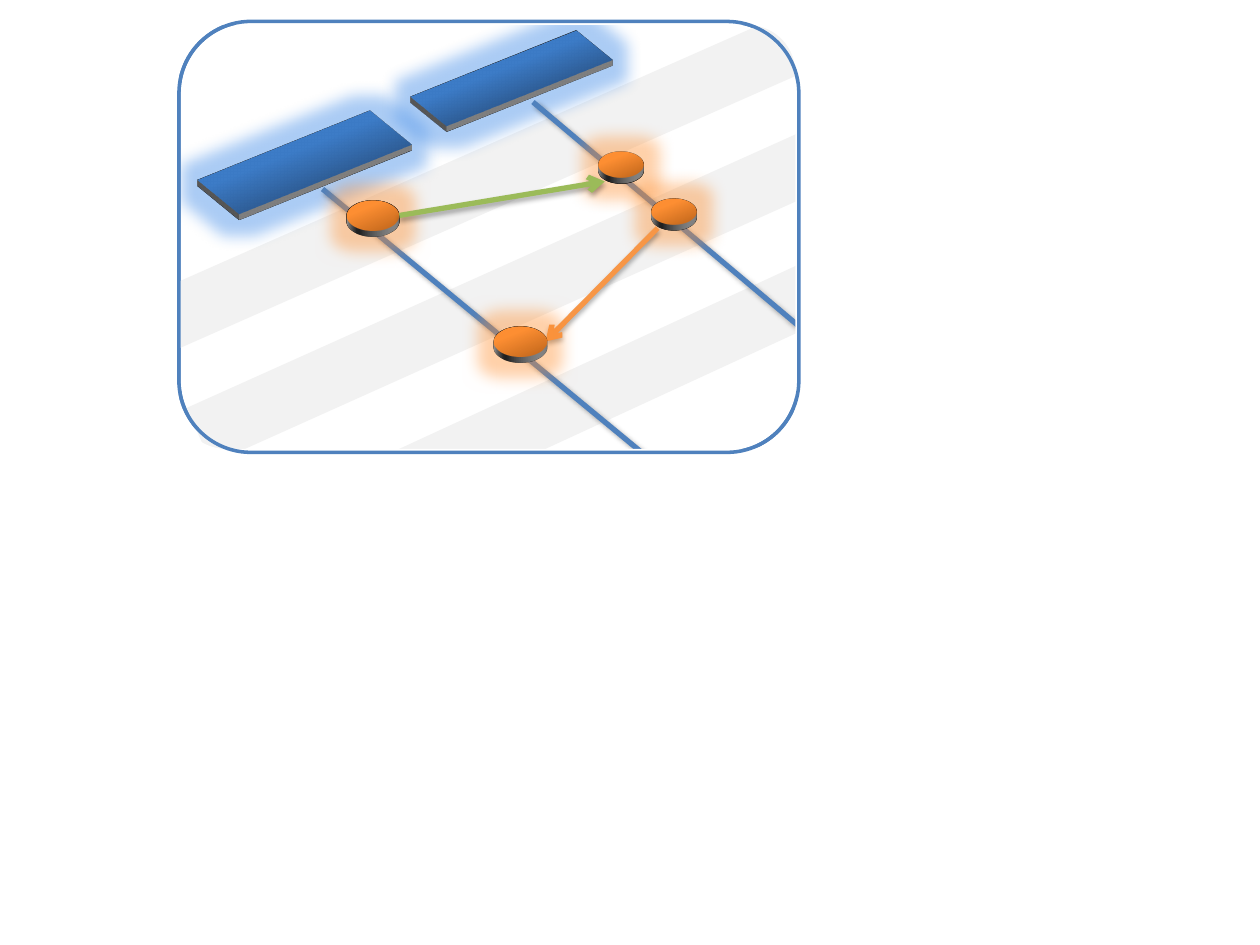
from pptx import Presentation
from pptx.util import Inches, Pt
from pptx.dml.color import RGBColor
from pptx.enum.shapes import MSO_SHAPE, MSO_CONNECTOR
from lxml.etree import SubElement
from pptx.oxml import parse_xml
from pptx.oxml.ns import qn, nsdecls

C = {"white": "FFFFFF", "stripe": "F2F2F2", "blue": "4F81BD", "green": "9BBB59",
     "orange": "F79646"}
PLATE = (MSO_SHAPE.RECTANGLE, "2F5F99", "3D7CC7", "2E80E6")
DISC = (MSO_SHAPE.OVAL, "CC6E20", "FF9034", "FF8C2A")

EFFECTS = """<a:effectLst {ns}>{glow}
  <a:outerShdw blurRad="{blur}" dist="{dist}" dir="{angle}" rotWithShape="0">
    <a:srgbClr val="000000"><a:alpha val="{alpha}"/></a:srgbClr></a:outerShdw></a:effectLst>"""
GLOW = '<a:glow rad="{rad}"><a:srgbClr val="{color}"><a:alpha val="40000"/></a:srgbClr></a:glow>'
SCENE = """<a:scene3d {ns}>
  <a:camera prst="isometricTopUp"><a:rot lat="{lat}" lon="{lon}" rev="{rev}"/></a:camera>
  <a:lightRig rig="threePt" dir="t"/></a:scene3d>"""
SOLID = """<a:sp3d {ns} extrusionH="{depth}">
  <a:extrusionClr><a:srgbClr val="FFFFFF"/></a:extrusionClr></a:sp3d>"""
NS = nsdecls("a")

prs = Presentation()
prs.slide_width, prs.slide_height = Inches(10), Inches(7.5)
s = prs.slides.add_slide(prs.slide_layouts[6]).shapes.add_group_shape().shapes


def line(start, end, color, width, shadow=None, arrow=False):
    """Straight line; shadow is (distance in points, angle in degrees)."""
    c = s.add_connector(MSO_CONNECTOR.STRAIGHT, *map(Inches, start + end))
    c.line.color.rgb = RGBColor.from_string(C[color])
    c.line.width = Pt(width)
    if arrow:
        SubElement(c.line._get_or_add_ln(), qn("a:tailEnd"), type="arrow")
    if shadow:
        c._element.spPr.append(parse_xml(EFFECTS.format(
            ns=NS, glow="", blur=Pt(3.1), dist=Pt(shadow[0]),
            angle=shadow[1] * 60000, alpha=35000)))
    else:
        SubElement(c._element.spPr, qn("a:effectLst"))


def shape(kind, box, color, width, look=None):
    """Outlined shape; a look turns it into a glowing tile lying on the floor."""
    sp = s.add_shape(kind, *map(Inches, box))
    sp.line.color.rgb = RGBColor.from_string(C[color])
    sp.line.width = Pt(width)
    if not look:
        sp.shadow.inherit = False
        sp.fill.background()
        return sp
    dark, light, glow = look
    sp.fill.gradient()
    sp.fill.gradient_angle = 90
    for stop, tone, pos in zip(sp.fill.gradient_stops, (dark, light), (0, 0.8)):
        stop.color.rgb = RGBColor.from_string(tone)
        stop.position = pos
    spPr = sp._element.spPr
    spPr.append(parse_xml(EFFECTS.format(
        ns=NS, glow=GLOW.format(rad=Pt(18), color=glow),
        blur=Pt(25), dist=0, angle=45 * 60000, alpha=43000)))
    lat, lon, rev = (int(deg * 60000) for deg in (317.8, 320.7, 50.7))
    spPr.append(parse_xml(SCENE.format(ns=NS, lat=lat, lon=lon, rev=rev)))
    spPr.append(parse_xml(SOLID.format(ns=NS, depth=Pt(4))))
    return sp


# Panel
FRAME = (1.42, 0.17, 4.92, 3.42)
panel = shape(MSO_SHAPE.ROUNDED_RECTANGLE, FRAME, "blue", 2)
panel.fill.solid()
panel.fill.fore_color.rgb = RGBColor.from_string(C["white"])

# Floor stripes
for start, end in (((3.17, 3.83), (6.42, 2.33)), ((1.58, 3.46), (6.5, 1.25)),
                   ((1.33, 2.54), (6.33, 0.33))):
    line(start, end, "stripe", 35)

# Lanes: plate, rail, discs (left, top, size)
lanes = [((1.58, 1, 1.67, 0.58), (2.56, 1.5), (5.08, 3.58), [(2.75, 1.5, 0.42)]),
         ((3.26, 0.37, 1.6, 0.5), (4.23, 0.81), (6.33, 2.58),
          [(4.75, 1.13, 0.36), (5.17, 1.5, 0.36)])]
for plate, start, end, discs in lanes:
    shape(PLATE[0], plate, "white", 2.75, PLATE[1:])
    line(start, end, "blue", 3, (1.8, 45))
    for x, y, size in discs:
        shape(DISC[0], (x, y, size, size), "white", 2.75, DISC[1:])

# Arrows between the lanes, then the front disc
line((3.17, 1.71), (4.8, 1.44), "green", 3, (1.8, 90), True)
line((5.22, 1.81), (4.33, 2.71), "orange", 3, (1.8, 90), True)
shape(DISC[0], (3.92, 2.5, 0.42, 0.42), "white", 2.75, DISC[1:])

# White mask around the panel and its outline
shape(MSO_SHAPE.ROUNDED_RECTANGLE, (1.14, -0.08, 5.45, 3.92), "white", 40)
shape(MSO_SHAPE.ROUNDED_RECTANGLE, FRAME, "blue", 2)

prs.save("out.pptx")
